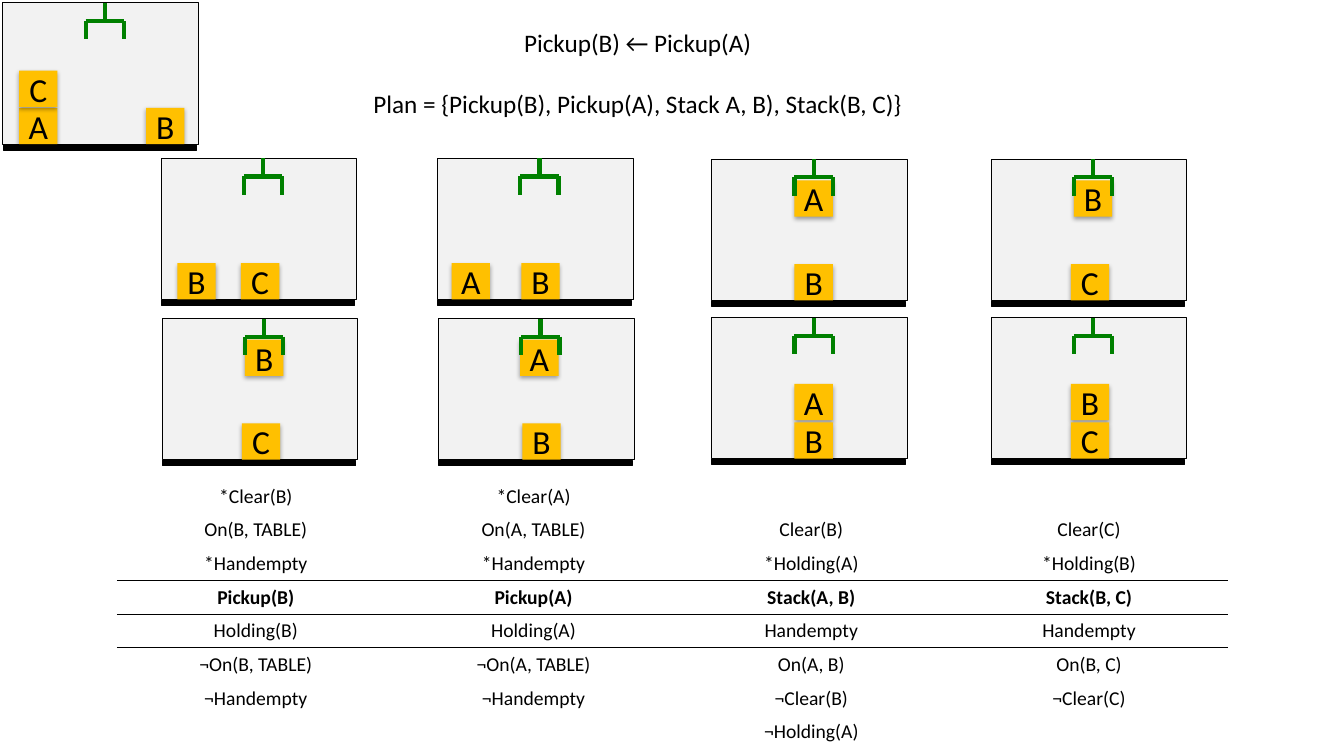
"""Build a slide that regresses a blocks-world plan through four actions."""
from lxml.etree import SubElement
from pptx import Presentation
from pptx.dml.color import RGBColor
from pptx.enum.shapes import MSO_CONNECTOR, MSO_SHAPE
from pptx.enum.text import MSO_ANCHOR, PP_ALIGN
from pptx.oxml import parse_xml
from pptx.oxml.ns import nsdecls, qn
from pptx.util import Inches, Pt


def color(value):
    return RGBColor.from_string(value)


def write(paragraph, text, size, bold=False):
    paragraph.alignment = PP_ALIGN.CENTER
    run = paragraph.add_run()
    run.text = text
    run.font.color.rgb = color("000000")
    font_format = {"name": "Calibri", "size": Pt(size), "bold": bold}
    for attribute, value in font_format.items():
        setattr(run.font, attribute, value)


presentation = Presentation()
presentation.slide_width = Inches(13.33)
presentation.slide_height = Inches(7.5)
slide = presentation.slides.add_slide(presentation.slide_layouts[6])

FLOOR, STACKED, HELD = 1.04, 0.66, 0.21
CENTER = 0.82
panels = [
    (0.03, 0.03, [("A", 0.16, FLOOR), ("B", 1.42, FLOOR), ("C", 0.16, 0.67)]),
    (1.6, 1.57, [("B", 0.16, FLOOR), ("C", 0.79, FLOOR)]),
    (4.34, 1.57, [("A", 0.14, FLOOR), ("B", 0.83, FLOOR)]),
    (7.06, 1.58, [("A", CENTER, HELD), ("B", CENTER, FLOOR)]),
    (9.83, 1.58, [("B", CENTER, HELD), ("C", 0.79, FLOOR)]),
    (1.61, 3.16, [("B", CENTER, HELD), ("C", 0.79, FLOOR)]),
    (4.35, 3.16, [("A", 0.81, HELD), ("B", 0.83, FLOOR)]),
    (7.06, 3.15, [("A", CENTER, STACKED), ("B", CENTER, FLOOR)]),
    (9.83, 3.15, [("B", 0.79, STACKED), ("C", 0.79, FLOOR)]),
]
gripper = [
    (0.82, 0.18, 1.2, 0.18),
    (0.82, 0.18, 0.82, 0.36),
    (1.01, 0, 1.01, 0.18),
    (1.2, 0.18, 1.2, 0.36),
]

for left, top, blocks in panels:
    group = slide.shapes.add_group_shape()
    for offset, width, height, fill in [(0, 1.94, 1.4, "F2F2F2"), (1.41, 1.92, 0.05, "000000")]:
        shape = group.shapes.add_shape(
            MSO_SHAPE.RECTANGLE, Inches(left), Inches(top + offset), Inches(width), Inches(height))
        shape.shadow.inherit = False
        shape.fill.solid()
        shape.fill.fore_color.rgb = color(fill)
        shape.line.color.rgb = color("000000")
        shape.line.width = Pt(0.75)

    for letter, across, down in blocks:
        block = group.shapes.add_shape(
            MSO_SHAPE.RECTANGLE, Inches(left + across), Inches(top + down), Inches(0.38), Inches(0.36))
        block.fill.solid()
        block.fill.fore_color.rgb = color("FFC000")
        block.line.fill.background()
        block.shadow.inherit = False
        effects = block.element.spPr.find(qn("a:effectLst"))
        effects.append(parse_xml(
            f'<a:outerShdw {nsdecls("a")} blurRad="40000" dist="23000" dir="5400000" rotWithShape="0">'
            '<a:srgbClr val="000000"><a:alpha val="35000"/></a:srgbClr></a:outerShdw>'))
        block.text_frame.word_wrap = False
        block.text_frame.vertical_anchor = MSO_ANCHOR.MIDDLE
        write(block.text_frame.paragraphs[0], letter, 24)

    for start_x, start_y, end_x, end_y in gripper:
        connector = group.shapes.add_connector(
            MSO_CONNECTOR.STRAIGHT, Inches(left + start_x), Inches(top + start_y),
            Inches(left + end_x), Inches(top + end_y))
        connector.line.color.rgb = color("008000")
        connector.line.width = Pt(3)
        SubElement(connector.element.spPr, qn("a:effectLst"))

heading = slide.shapes.add_textbox(Inches(3.56), Inches(0.22), Inches(5.53), Inches(1.31)).text_frame
heading.word_wrap = True
write(heading.paragraphs[0], "Pickup(B) ← Pickup(A)", 18)
plan = heading.add_paragraph()
plan.space_before = Pt(22)
write(plan, "Plan = {Pickup(B), Pickup(A), Stack A, B), Stack(B, C)}", 18)

ACTION_ROW = 3
rows = [
    ["*Clear(B)", "*Clear(A)", "", ""],
    ["On(B, TABLE)", "On(A, TABLE)", "Clear(B)", "Clear(C)"],
    ["*Handempty", "*Handempty", "*Holding(A)", "*Holding(B)"],
    ["Pickup(B)", "Pickup(A)", "Stack(A, B)", "Stack(B, C)"],
    ["Holding(B)", "Holding(A)", "Handempty", "Handempty"],
    ["¬On(B, TABLE)", "¬On(A, TABLE)", "On(A, B)", "On(B, C)"],
    ["¬Handempty", "¬Handempty", "¬Clear(B)", "¬Clear(C)"],
    ["", "", "¬Holding(A)", ""],
]
borders = {ACTION_ROW - 1: ["lnB"], ACTION_ROW: ["lnT", "lnB"], ACTION_ROW + 1: ["lnT"]}

frame = slide.shapes.add_table(
    len(rows), len(rows[0]), Inches(1.16), Inches(4.76), Inches(11.02), Inches(2.67))
table = frame.table
table.first_row = False
table.horz_banding = False
NO_STYLE_NO_GRID = "{2D5ABB26-0587-4C30-8999-92F81FD0307C}"
frame.element.find(".//" + qn("a:tableStyleId")).text = NO_STYLE_NO_GRID

for row_index, row in enumerate(rows):
    for column_index, text in enumerate(row):
        cell = table.cell(row_index, column_index)
        cell.vertical_anchor = MSO_ANCHOR.MIDDLE
        cell.margin_top = cell.margin_bottom = Inches(0.04)
        properties = cell._tc.get_or_add_tcPr()
        for side in borders.get(row_index, []):
            properties.append(parse_xml(
                f'<a:{side} {nsdecls("a")} w="12700"><a:solidFill>'
                f'<a:srgbClr val="000000"/></a:solidFill></a:{side}>'))
        cell.fill.background()
        paragraph = cell.text_frame.paragraphs[0]
        if text:
            write(paragraph, text, 14, row_index == ACTION_ROW)
        else:
            SubElement(paragraph._p, qn("a:endParaRPr"), sz="1400")

presentation.save("out.pptx")
